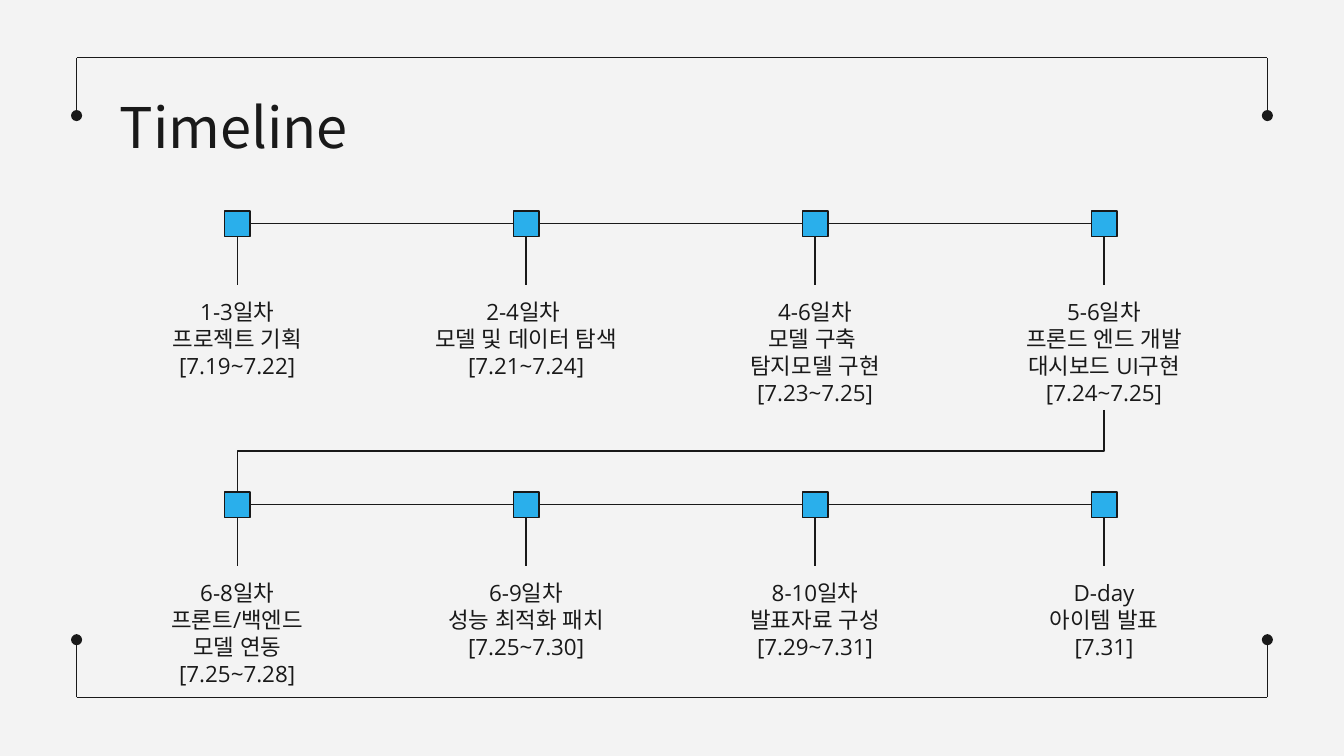
from lxml.etree import SubElement as Sub
from pptx import Presentation
from pptx.dml.color import RGBColor
from pptx.enum.shapes import MSO_CONNECTOR as Link, MSO_SHAPE as Form
from pptx.enum.text import MSO_ANCHOR as Anchor, PP_ALIGN as Align
from pptx.oxml.ns import qn
from pptx.util import Inches, Pt

INK = RGBColor(0x19, 0x19, 0x19)
BLUE = RGBColor(0x2A, 0xAF, 0xEB)
PAPER = RGBColor(0xF3, 0xF3, 0xF3)
WIDE = 10
HIGH = WIDE * 9 / 16
MARK = 0.19
STEM = 0.36
CELL = 2.15
LEFT, ROWS = 0.69, (1.57, 3.66)
BODY = {"name": "Open Sans", "size": Pt(12)}
HEAD = {"name": "Noto Sans CJK KR", "size": Pt(30)}
STEPS = (
    (
        ("1-3일차", "프로젝트 기획", "[7.19~7.22]"),
        ("2-4일차 ", "모델 및 데이터 탐색", "[7.21~7.24]"),
        ("4-6일차", "모델 구축 ", "탐지모델 구현", "[7.23~7.25]"),
        ("5-6일차", "프론드 엔드 개발", "대시보드 UI구현", "[7.24~7.25]"),
    ),
    (
        ("6-8일차", "프론트/백엔드", "모델 연동", "[7.25~7.28]"),
        ("6-9일차", "성능 최적화 패치", "[7.25~7.30]"),
        ("8-10일차", "발표자료 구성", "[7.29~7.31]"),
        ("D-day", "아이템 발표", "[7.31]"),
    ),
)


def draw_line(slide, start, end, dot=False, kind=Link.STRAIGHT):
    """Draw a thin connector, with a round end if dot is set."""
    line = slide.shapes.add_connector(kind, *map(Inches, (*start, *end)))
    line.line.color.rgb = INK
    line.line.width = Pt(0.75)
    if dot:
        Sub(line.line._get_or_add_ln(), qn("a:tailEnd"), type="oval")
    Sub(line._element.spPr, qn("a:effectLst"))
    return line


def write(frame, lines, look, align):
    """Fill a text frame with one paragraph per line."""
    frame.word_wrap = True
    frame.vertical_anchor = Anchor.TOP
    for side in ("left", "top", "right", "bottom"):
        setattr(frame, f"margin_{side}", Inches(0.1))
    for i, text in enumerate(lines):
        para = frame.paragraphs[0] if i == 0 else frame.add_paragraph()
        para.alignment, para.line_spacing = align, 1.0
        run = para.add_run()
        run.text = text
        for key, value in look.items():
            setattr(run.font, key, value)
        run.font.color.rgb = INK
        for tag in ("a:ea", "a:cs"):
            Sub(run._r.get_or_add_rPr(), qn(tag), typeface=look["name"])


def add_frame(slide, x, y, w, h):
    """Draw the two open brackets around the slide."""
    for edge, tip in ((y, y + 0.43), (y + h, y + h - 0.43)):
        draw_line(slide, (x, edge), (x + w, edge))
        for side in (x, x + w):
            draw_line(slide, (side, edge), (side, tip), dot=True)


def add_title(slide, text, *box):
    """Place and fill the title placeholder."""
    title = slide.shapes.title
    for key, value in zip(("left", "top", "width", "height"), box):
        setattr(title, key, Inches(value))
    write(title.text_frame, [text], HEAD, Align.LEFT)


def add_step(slide, lines, x, y, w):
    """Draw one marker with its stem and caption in a cell."""
    mid, foot = x + w / 2, y + MARK
    box = (mid - MARK / 2, y, MARK, MARK)
    mark = slide.shapes.add_shape(Form.RECTANGLE, *map(Inches, box))
    mark.shadow.inherit = False
    mark.fill.solid()
    mark.fill.fore_color.rgb = BLUE
    mark.line.color.rgb = INK
    mark.line.width = Pt(0.75)
    draw_line(slide, (mid, foot), (mid, foot + STEM))
    box = (x + 0.08, foot + STEM, w - 0.16, 0.82)
    note = slide.shapes.add_textbox(*map(Inches, box))
    write(note.text_frame, lines, BODY, Align.CENTER)


def add_row(slide, steps, x, y, w):
    """Draw a row of equal cells joined by lines."""
    cell = w / len(steps)
    for i, lines in enumerate(steps):
        left = x + i * cell
        add_step(slide, lines, left, y, cell)
        if i:
            axis, mid = y + MARK / 2, left + cell / 2
            start = mid - cell + MARK / 2
            draw_line(slide, (start, axis), (mid - MARK / 2, axis))


def add_turn(slide, x, y, w, h):
    """Draw the elbow from the top right to the bottom left of a box."""
    left, top = x + (w - h) / 2, y + (h - w) / 2
    turn = draw_line(slide, (left, top), (left + h, top + w), kind=Link.ELBOW)
    turn._element.spPr.get_or_add_xfrm().set("rot", "5400000")


def main():
    """Build and save the timeline slide."""
    deck = Presentation()
    deck.slide_width, deck.slide_height = Inches(WIDE), Inches(HIGH)
    slide = deck.slides.add_slide(deck.slide_layouts[5])
    slide.background.fill.solid()
    slide.background.fill.fore_color.rgb = PAPER
    add_frame(slide, 0.57, 0.43, WIDE - 1.14, 4.76)
    add_title(slide, "Timeline", 0.79, 0.59, 8.43, 0.63)
    for steps, top in zip(STEPS, ROWS):
        add_row(slide, steps, LEFT, top, CELL * len(steps))
    add_turn(slide, LEFT + CELL / 2, 3.05, CELL * 3, ROWS[1] - 3.05)
    deck.save("out.pptx")


if __name__ == "__main__":
    main()
